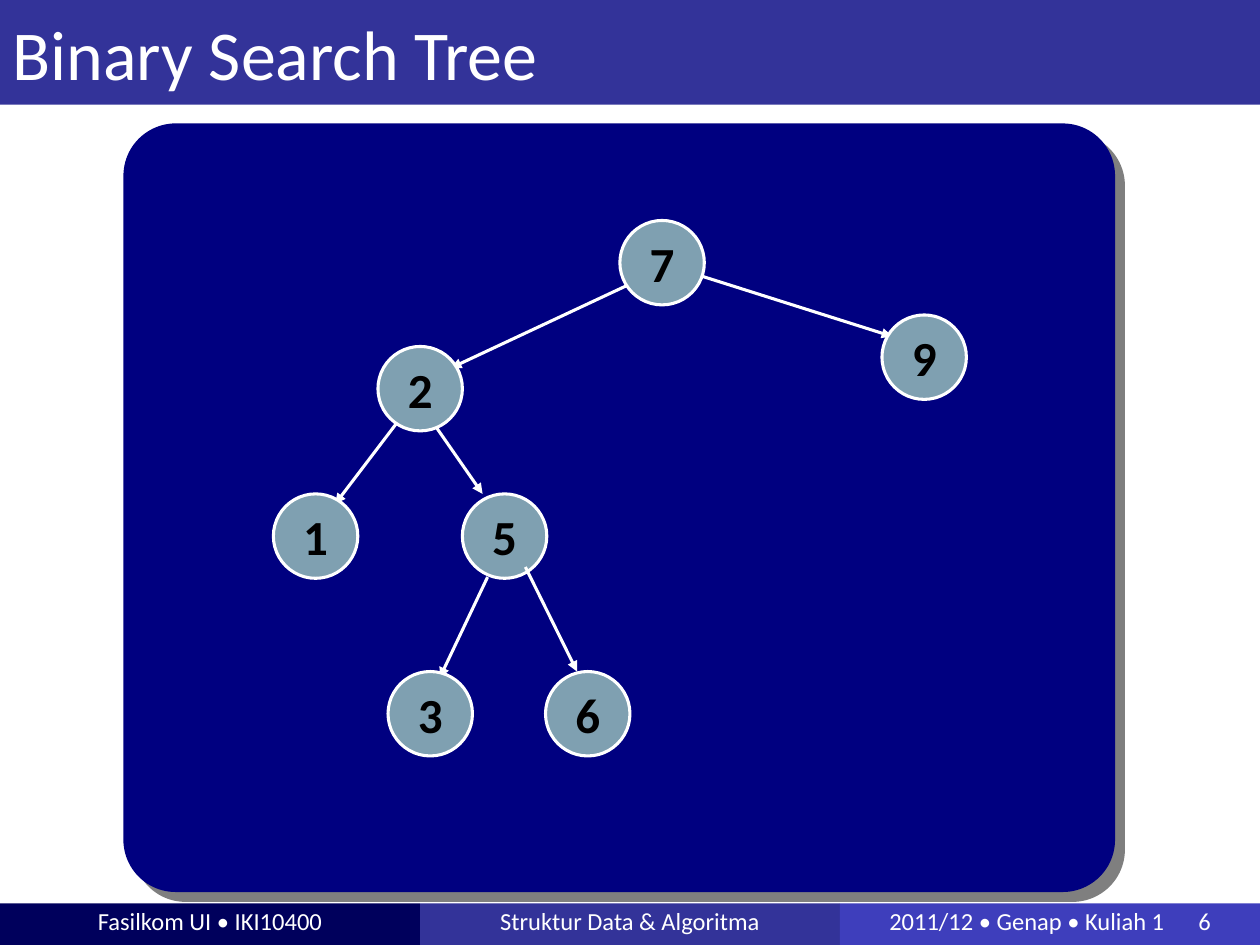
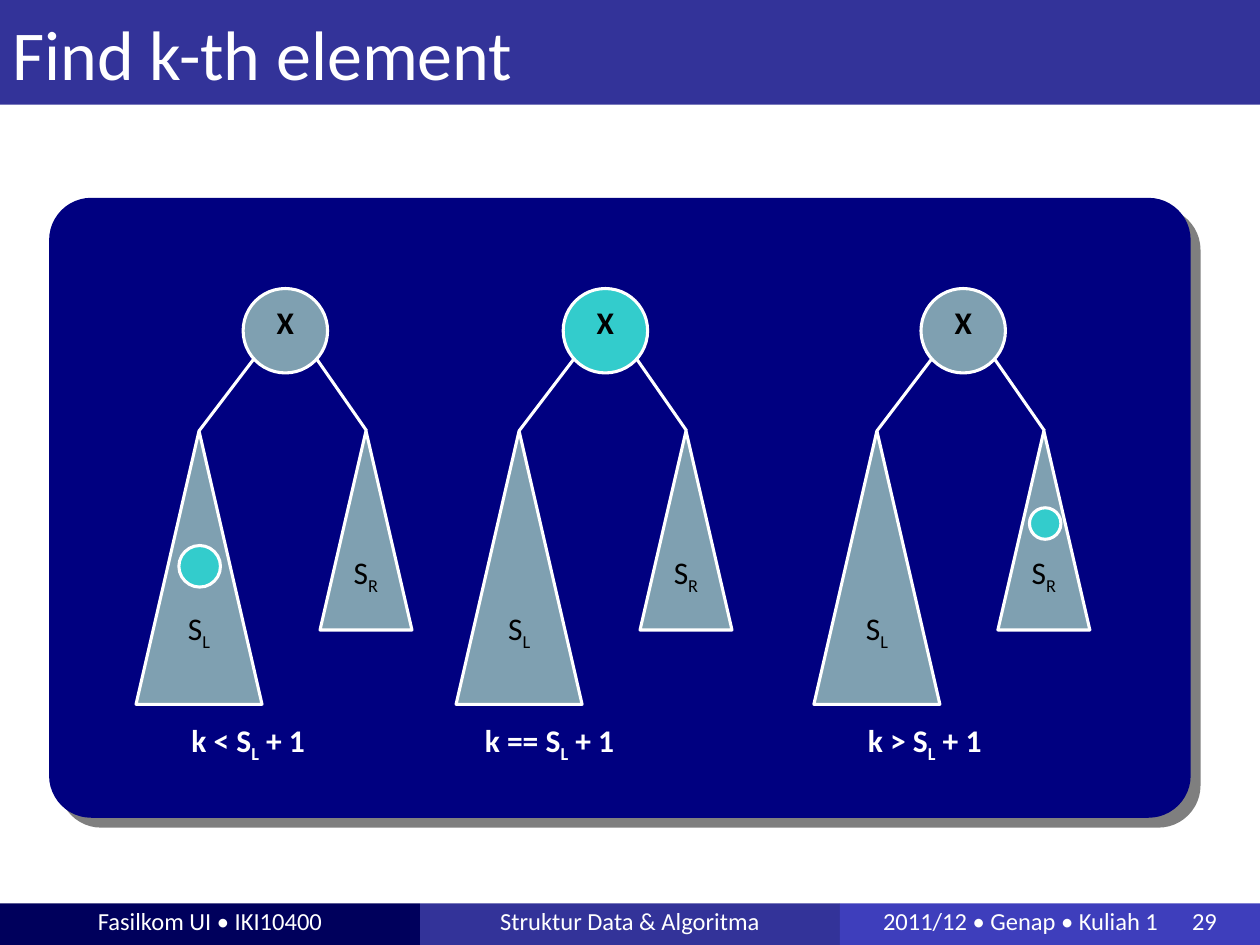
import dataclasses

import pptx
import pptx.dml.color
import pptx.enum.shapes
import pptx.enum.text
import pptx.oxml
import pptx.oxml.ns
import pptx.util

Inches = pptx.util.Inches
Shape = pptx.enum.shapes.MSO_SHAPE
Align = pptx.enum.text.PP_ALIGN
Anchor = pptx.enum.text.MSO_ANCHOR
qn = pptx.oxml.ns.qn


@dataclasses.dataclass(frozen=True)
class Theme:
    font: str = "Calibri"
    white: str = "FFFFFF"
    black: str = "000000"
    title_band: str = "333399"
    footer_bands: tuple = ("00005C", "333399", "3E3EBC")
    panel: str = "000080"
    node: str = "7FA0B1"
    found: str = "33CCCC"
    title_size: int = 40
    key_size: int = 28
    label_size: int = 18
    footer_size: int = 14
    line_width: float = 1.76
    tight: float = 0.33


@dataclasses.dataclass(frozen=True)
class Run:
    text: str
    baseline: int = 0
    tracking: int = 0


SHADOW = (
    '<a:outerShdw xmlns:a="http://schemas.openxmlformats.org/drawingml/2006/main" '
    'blurRad="0" dist="101600" dir="2700000" algn="ctr" rotWithShape="0">'
    '<a:srgbClr val="000000"><a:alpha val="50000"/></a:srgbClr></a:outerShdw>'
)


class Deck:
    def __init__(self, theme):
        self.theme = theme
        self.prs = pptx.Presentation()
        self.prs.slide_width = Inches(10)
        self.prs.slide_height = Inches(7.5)
        self.s = None

    def color(self, value):
        return pptx.dml.color.RGBColor.from_string(value)

    def fill(self, sp, color):
        sp.fill.solid()
        sp.fill.fore_color.rgb = self.color(color)

    def stroke(self, sp):
        sp.line.color.rgb = self.color(self.theme.white)
        sp.line.width = pptx.util.Pt(self.theme.line_width)

    def add_runs(self, p, runs, size, color, bold=False):
        for run in runs:
            r = p.add_run()
            r.text = run.text
            r.font.name = self.theme.font
            r.font.size = pptx.util.Pt(size)
            r.font.bold = bold
            r.font.color.rgb = self.color(color)
            rPr = r._r.get_or_add_rPr()
            if run.baseline:
                rPr.set("baseline", str(run.baseline * 1000))
            if run.tracking:
                rPr.set("spc", str(run.tracking * 100))

    def shape(self, kind, box, color, outlined=True):
        sp = self.s.shapes.add_shape(kind, *map(Inches, box))
        self.fill(sp, color)
        if outlined:
            self.stroke(sp)
        else:
            sp.line.fill.background()
        sp.shadow.inherit = False
        return sp

    def slide(self, title, number):
        t = self.theme
        self.s = self.prs.slides.add_slide(self.prs.slide_layouts[5])
        sp = self.s.shapes.title
        sp.left, sp.top, sp.width, sp.height = map(Inches, (0, 0, 10, 0.83))
        self.fill(sp, t.title_band)
        tf = sp.text_frame
        tf.vertical_anchor = Anchor.MIDDLE
        tf.paragraphs[0].alignment = Align.LEFT
        self.add_runs(tf.paragraphs[0], [Run(title)], t.title_size, t.white)
        self.footer(number)

    def footer(self, number):
        t = self.theme
        texts = (
            [Run("Fasilkom UI • IKI10400")],
            [Run("Struktur Data & Algoritma")],
            [Run("2011/12 • Genap • Kuliah 1"), Run(" ", tracking=16), Run(str(number))],
        )
        width = 10 / len(texts)
        for i, (runs, color) in enumerate(zip(texts, t.footer_bands)):
            sp = self.shape(Shape.RECTANGLE, (i * width, 7.17, width, 0.33), color, False)
            tf = sp.text_frame
            tf.margin_top = 0
            tf.vertical_anchor = Anchor.MIDDLE
            tf.paragraphs[0].alignment = Align.CENTER
            self.add_runs(tf.paragraphs[0], runs, t.footer_size, t.white)

    def panel(self, *box):
        sp = self.shape(Shape.ROUNDED_RECTANGLE, box, self.theme.panel, False)
        sp.adjustments[0] = 0.068
        effects = sp._element.spPr.find(qn("a:effectLst"))
        effects.append(pptx.oxml.parse_xml(SHADOW))

    def label(self, sp, runs, size, bold=False, spacing=None):
        tf = sp.text_frame
        tf.word_wrap = False
        tf.vertical_anchor = Anchor.MIDDLE
        p = tf.paragraphs[0]
        p.alignment = Align.CENTER
        p.line_spacing = spacing
        self.add_runs(p, runs, size, self.theme.black, bold)

    def circle(self, left, top, size, color):
        return self.shape(Shape.OVAL, (left, top, size, size), color)

    def key(self, text, left, top):
        sp = self.circle(left, top, 0.67, self.theme.node)
        self.label(sp, [Run(text)], self.theme.key_size, True)

    def root(self, left, top, color):
        t = self.theme
        sp = self.circle(left, top, 0.67, color)
        self.label(sp, [Run("X")], t.label_size, True, t.tight)

    def subtree(self, side, *box):
        t = self.theme
        sp = self.shape(Shape.ISOSCELES_TRIANGLE, box, t.node)
        self.label(sp, [Run("S"), Run(side, -25)], t.label_size, spacing=t.tight)

    def edge(self, start, end, arrow=False):
        sp = self.s.shapes.add_connector(
            pptx.enum.shapes.MSO_CONNECTOR.STRAIGHT, *map(Inches, (*start, *end)))
        self.stroke(sp)
        spPr = sp._element.spPr
        if arrow:
            tail = pptx.oxml.parse_xml(
                '<a:tailEnd xmlns:a="http://schemas.openxmlformats.org/drawingml/2006/main" '
                'type="triangle"/>')
            spPr.find(qn("a:ln")).append(tail)
        spPr.append(spPr.makeelement(qn("a:effectLst"), {}))

    def caption(self, relation, left, width):
        t = self.theme
        sp = self.s.shapes.add_textbox(*map(Inches, (left, 5.83, width, 0.25)))
        tf = sp.text_frame
        tf.word_wrap = True
        tf.auto_size = pptx.enum.text.MSO_AUTO_SIZE.SHAPE_TO_FIT_TEXT
        p = tf.paragraphs[0]
        p.line_spacing = t.tight
        p.space_before = pptx.util.Pt(15)
        runs = [Run(f"k {relation} S"), Run("L", -25), Run(" + 1")]
        self.add_runs(p, runs, t.label_size, t.white, True)


def search_tree(deck):
    deck.slide("Binary Search Tree", 6)
    deck.panel(0.98, 0.98, 7.87, 6.1)
    edges = (
        ((5.01, 2.25), (3.58, 2.92)),
        ((3.87, 4.58), (3.49, 5.38)),
        ((5.5, 2.17), (7.08, 2.67)),
        ((3.17, 3.33), (2.66, 4)),
        ((3.42, 3.33), (3.83, 3.92)),
    )
    keys = (
        ("7", 4.92, 1.75),
        ("2", 3, 2.75),
        ("3", 3.08, 5.33),
        ("9", 7, 2.5),
        ("1", 2.17, 3.92),
        ("5", 3.67, 3.92),
    )
    for start, end in edges:
        deck.edge(start, end, arrow=True)
    for key in keys:
        deck.key(*key)
    deck.edge((4.17, 4.5), (4.58, 5.33), arrow=True)
    deck.key("6", 4.33, 5.33)


def find_kth(deck):
    t = deck.theme
    deck.slide("Find k-th element", 29)
    deck.panel(0.39, 1.57, 9.06, 4.92)
    cases = (
        (1.93, "<", t.node, (1.42, 4.33, 0.33), 1.42, 1.75),
        (4.47, "==", t.found, None, 3.75, 1.96),
        (7.31, ">", t.node, (8.17, 4.03, 0.25), 6.79, 1.75),
    )
    for x, relation, color, target, caption_left, caption_width in cases:
        deck.edge((x + 0.57, 2.83), (x + 0.98, 3.42))
        deck.edge((x + 0.16, 2.75), (x - 0.35, 3.42))
        deck.subtree("L", x - 0.85, 3.42, 1, 2.17)
        deck.subtree("R", x + 0.61, 3.42, 0.73, 1.58)
        if target:
            deck.circle(*target, t.found)
        deck.root(x, 2.29, color)
        deck.caption(relation, caption_left, caption_width)


deck = Deck(Theme())
search_tree(deck)
find_kth(deck)
deck.prs.save("out.pptx")
